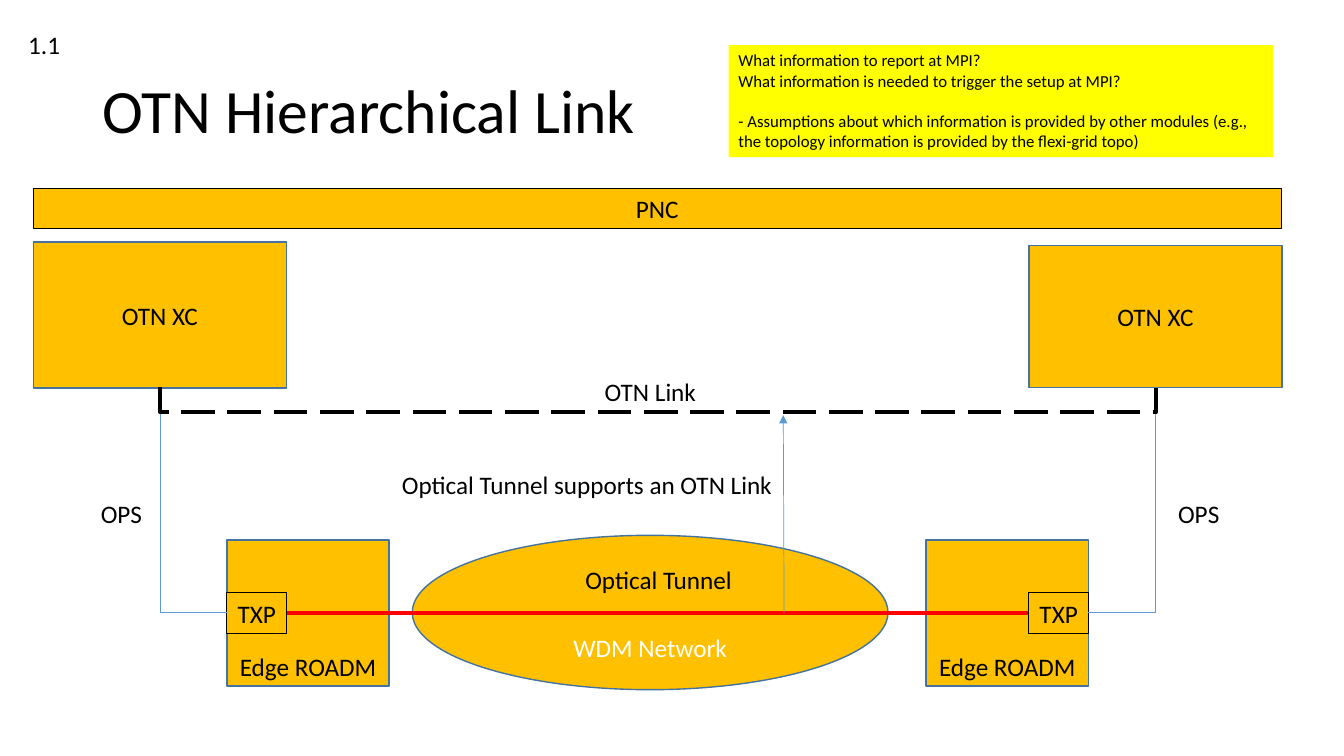
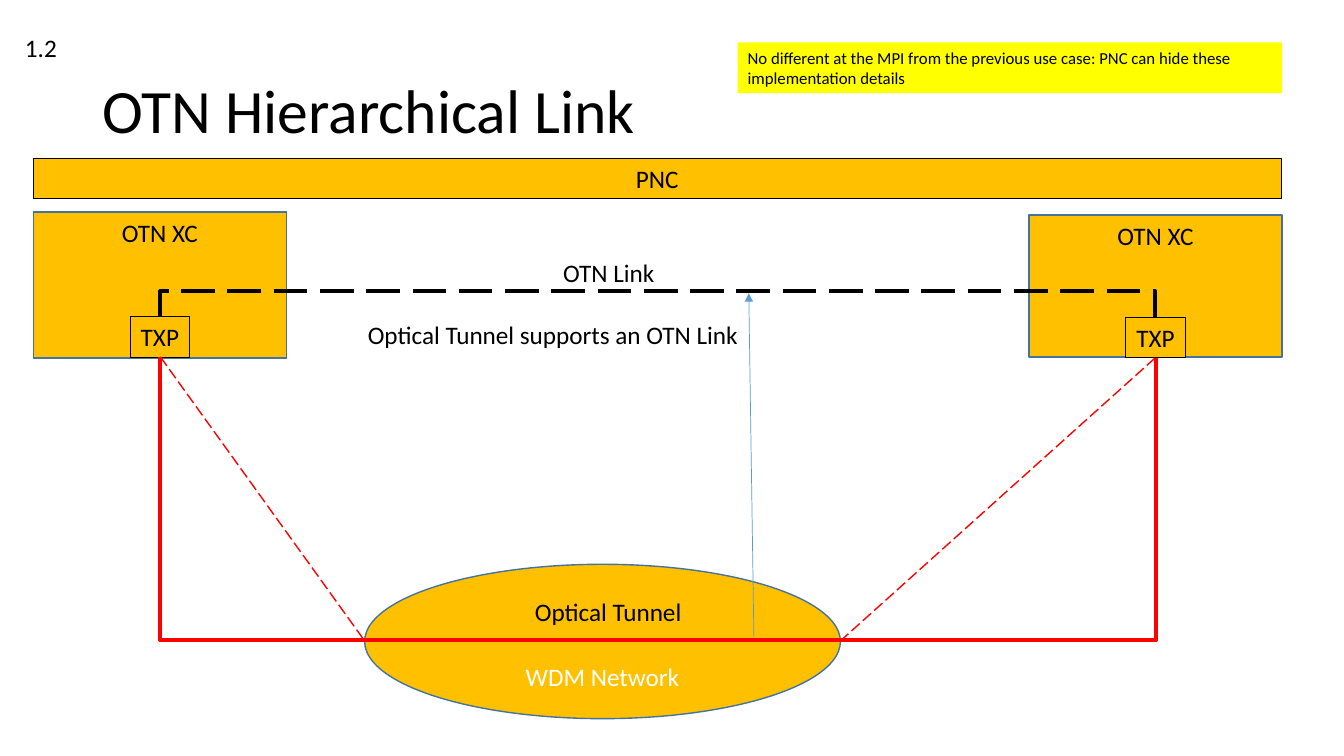
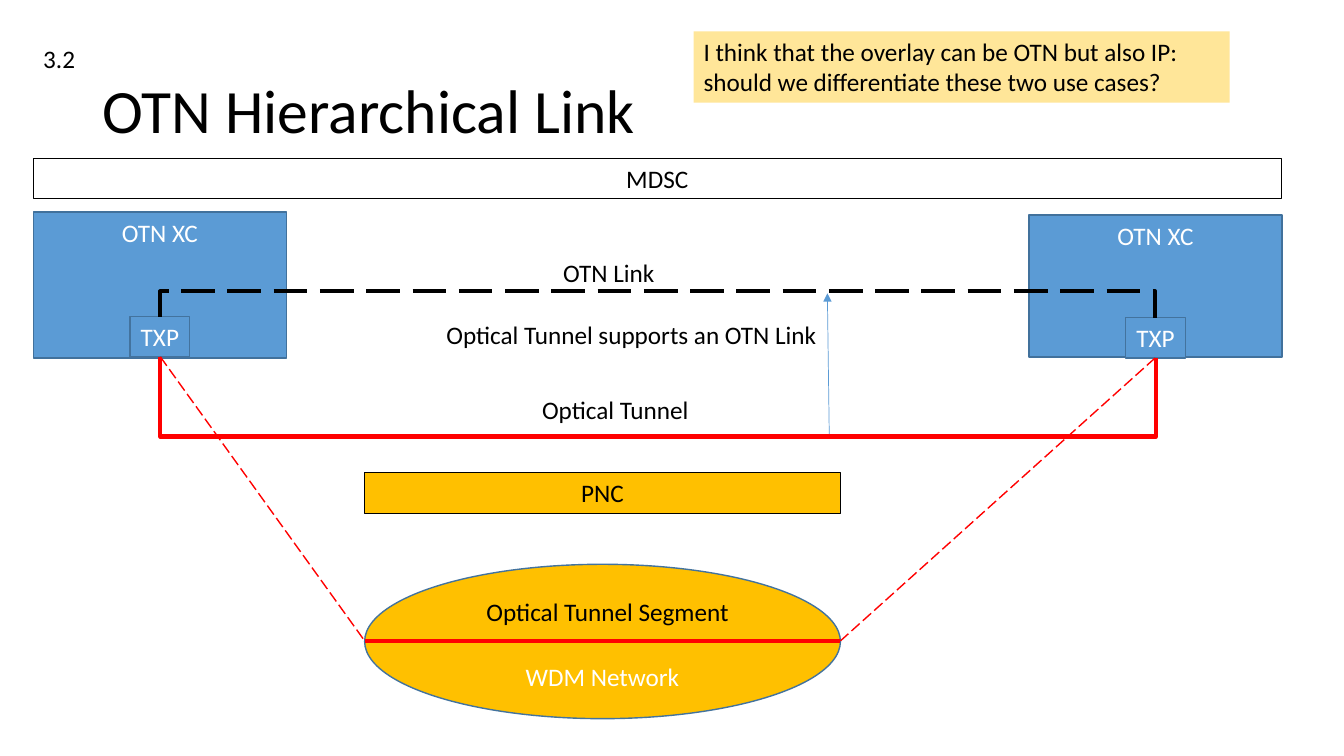
"""Build three slides on OTN hierarchical links over a WDM network."""
from lxml import etree
from pptx import Presentation
from pptx import util as u
from pptx.dml import color
from pptx.enum import dml, shapes, text
from pptx.oxml import ns

rgb = color.RGBColor.from_string
FONT = "Calibri"
BLACK, WHITE, RED = "000000", "FFFFFF", "FF0000"
AMBER, YELLOW, SAND, BLUE = "FFC000", "FFFF00", "FFE699", "5B9BD5"
EDGE, XC_EDGE = "43739E", "41719C"
RECT, OVAL = shapes.MSO_SHAPE.RECTANGLE, shapes.MSO_SHAPE.OVAL
TOP, MIDDLE, BOTTOM = text.MSO_ANCHOR.TOP, text.MSO_ANCHOR.MIDDLE, text.MSO_ANCHOR.BOTTOM
LEFT, CENTER = text.PP_ALIGN.LEFT, text.PP_ALIGN.CENTER

ROW = 1.02
BAR_X, BAR_W = 0.84, 31.45
XC_W, XC_RIGHT = 6.38, 25.93
PORT_LEFT, PORT_RIGHT = 4.04, 29.11
TXP_W = 1.5
WDM_W, WDM_H = 11.99, 3.89


def box(s, x, y, w, h, label, fill=None, edge=None, weight=1, ink=BLACK,
        size=18, anchor=TOP, align=CENTER, wrap=False, shape=RECT):
    place = [u.Cm(v) for v in (x, y, w, h)]
    if edge:
        sp = s.shapes.add_shape(shape, *place)
        sp.shadow.inherit = False
        sp.line.color.rgb = rgb(edge)
        sp.line.width = u.Pt(weight)
    else:
        sp = s.shapes.add_textbox(*place)
    if fill:
        sp.fill.solid()
        sp.fill.fore_color.rgb = rgb(fill)
    else:
        sp.fill.background()
    tf = sp.text_frame
    tf.text = label
    tf.word_wrap = wrap
    tf.vertical_anchor = anchor
    for p in tf.paragraphs:
        p.alignment = align
        for r in p.runs:
            r.font.name = FONT
            r.font.size = u.Pt(size)
            r.font.color.rgb = rgb(ink)
    return sp


def line(s, start, end, ink, weight, dashed=False, arrow=False, bend=None):
    (x1, y1), (x2, y2) = start, end
    if bend is None:
        cn = s.shapes.add_connector(shapes.MSO_CONNECTOR.STRAIGHT,
                                    u.Cm(x1), u.Cm(y1), u.Cm(x2), u.Cm(y2))
    else:
        mid_x, mid_y = (x1 + x2) / 2, (y1 + y2) / 2
        half_w, half_h = (y2 - y1) / 2, abs(x2 - x1) / 2
        cn = s.shapes.add_connector(shapes.MSO_CONNECTOR.ELBOW,
                                    u.Cm(mid_x - half_w), u.Cm(mid_y - half_h),
                                    u.Cm(mid_x + half_w), u.Cm(mid_y + half_h))
        xfrm = cn._element.spPr.find(ns.qn("a:xfrm"))
        xfrm.set("rot", str((270 if x2 > x1 else 90) * 60000))
        if x2 > x1:
            xfrm.set("flipH", "1")
        geom = cn._element.spPr.find(ns.qn("a:prstGeom"))
        if bend == y2:
            geom.set("prst", "bentConnector2")
        else:
            ratio = round((bend - y1) / (y2 - y1) * 100000)
            etree.SubElement(geom.find(ns.qn("a:avLst")), ns.qn("a:gd"),
                             name="adj1", fmla=f"val {ratio}")
    cn.line.color.rgb = rgb(ink)
    cn.line.width = u.Pt(weight)
    if dashed:
        cn.line.dash_style = dml.MSO_LINE.LONG_DASH
    if arrow:
        etree.SubElement(cn.line._get_or_add_ln(), ns.qn("a:tailEnd"), type="triangle")
    etree.SubElement(cn._element.spPr, ns.qn("a:effectLst"))


prs = Presentation()
prs.slide_width, prs.slide_height = u.Cm(33.87), u.Cm(19.05)

questions = ("What information to report at MPI?\n"
             "What information is needed to trigger the setup at MPI?\n"
             "- Assumptions about which information is provided by other modules "
             "(e.g., the topology information is provided by the flexi-grid topo)")
same_case = ("No different at the MPI from the previous use case: "
             "PNC can hide these implementation details")
overlay = ("I think that the overlay can be OTN but also IP: "
           "should we differentiate these two use cases?")
frames = [
    ("1.1", (0.46, 0.61), questions, (18.36, 1.14, 13.72, 2.82), YELLOW, 12,
     "PNC", AMBER, 4.75, AMBER, EDGE, BLACK, MIDDLE),
    ("1.2", (0.38, 0.69), same_case, (18.59, 1.07, 13.72, 1.28), YELLOW, 12,
     "PNC", AMBER, 3.99, AMBER, EDGE, BLACK, TOP),
    ("3.2", (0.84, 0.97), overlay, (17.48, 0.79, 13.51, 1.8), SAND, 18,
     "MDSC", None, 3.99, BLUE, XC_EDGE, WHITE, TOP),
]
slides = []
for (number, number_at, note, note_at, note_fill, note_size,
     bar, bar_fill, bar_y, xc_fill, xc_edge, xc_ink, xc_anchor) in frames:
    s = prs.slides.add_slide(prs.slide_layouts[5])
    slides.append(s)
    title = s.shapes.title
    title.left, title.top, title.width, title.height = (
        u.Cm(v) for v in (2.33, 1.01, 29.21, 3.68))
    tf = title.text_frame
    tf.text = "OTN Hierarchical Link"
    tf.vertical_anchor = MIDDLE
    p = tf.paragraphs[0]
    p.alignment, p.line_spacing = LEFT, 0.9
    r = p.runs[0]
    r.font.name, r.font.size = FONT, u.Pt(44)
    r.font.color.rgb = rgb(BLACK)
    box(s, *number_at, 1.32, ROW, number, align=LEFT)
    sp = box(s, *note_at, note, note_fill, size=note_size, align=LEFT, wrap=True)
    if note == questions:
        sp.text_frame.paragraphs[-1].space_before = u.Pt(14.6)
    box(s, BAR_X, bar_y, BAR_W, ROW, bar, bar_fill, BLACK, 0.75)
    for x, y, h in ((BAR_X, bar_y + 1.35, 3.68), (XC_RIGHT, bar_y + 1.43, 3.58)):
        box(s, x, y, XC_W, h, "OTN XC", xc_fill, xc_edge, ink=xc_ink, anchor=xc_anchor)

s = slides[0]
tunnel_y = 15.44
for x in (5.72, 23.34):
    box(s, x, 13.61, 4.09, 3.68, "Edge ROADM", AMBER, EDGE, anchor=BOTTOM)
box(s, 10.39, 13.49, WDM_W, WDM_H, "WDM Network", AMBER, EDGE, ink=WHITE,
    anchor=BOTTOM, shape=OVAL)
box(s, 14.5, 14.1, 4.24, ROW, "Optical Tunnel", align=LEFT)
line(s, (7.21, tunnel_y), (XC_RIGHT, tunnel_y), RED, 3)
for txp_x, port_x, txp_edge, ops_x in ((5.72, PORT_LEFT, 5.72, 2.29),
                                       (XC_RIGHT, PORT_RIGHT, 27.43, 29.44)):
    box(s, txp_x, 14.94, TXP_W, ROW, "TXP", AMBER, BLACK, 0.75)
    line(s, (port_x, 9.75), (txp_edge, tunnel_y), BLUE, 0.5, bend=tunnel_y)
    box(s, ops_x, 12.42, 1.55, ROW, "OPS", align=LEFT)
box(s, 14.99, 9.35, 2.84, ROW, "OTN Link", align=LEFT)
line(s, (PORT_LEFT, 9.75), (29.13, 9.78), BLACK, 3, dashed=True, bend=10.39)
box(s, 9.88, 11.71, 9.96, ROW, "Optical Tunnel supports an OTN Link", align=LEFT)
line(s, (19.76, tunnel_y), (19.74, 10.46), BLUE, 0.5, arrow=True)

wdm_x, wdm_mid = 9.19, 16.15
variants = [
    (slides[1], AMBER, BLACK, 0.75, BLACK, "Optical Tunnel", 13.23, 4.24,
     16.13, 9.02, (19, wdm_mid), (18.87, 7.39)),
    (slides[2], BLUE, EDGE, 1, WHITE, "Optical Tunnel Segment", 12.01, 6.71,
     11, 11, (20.9, 11.02), (20.85, 7.39)),
]
for (s, txp_fill, txp_edge, txp_weight, txp_ink, wdm_label, label_x, label_w,
     tunnel_y, support_x, arrow_from, arrow_to) in variants:
    box(s, wdm_x, 14.22, WDM_W, WDM_H, "WDM Network", AMBER, EDGE, ink=WHITE,
        anchor=BOTTOM, shape=OVAL)
    box(s, label_x, 14.91, label_w, ROW, wdm_label, align=LEFT)
    for x, y in ((3.28, 7.98), (28.37, 8)):
        box(s, x, y, TXP_W, ROW, "TXP", txp_fill, txp_edge, txp_weight, txp_ink,
            anchor=MIDDLE)
    line(s, (PORT_LEFT, 8.99), (wdm_x, wdm_mid), RED, 1, dashed=True)
    line(s, (PORT_RIGHT, 9.02), (wdm_x + WDM_W, wdm_mid), RED, 1, dashed=True)
    box(s, 13.94, 6.35, 2.84, ROW, "OTN Link", align=LEFT)
    line(s, (PORT_LEFT, 7.98), (PORT_RIGHT, 8.01), BLACK, 3, dashed=True, bend=7.34)
    box(s, support_x, 7.92, 9.96, ROW, "Optical Tunnel supports an OTN Link", align=LEFT)
    line(s, arrow_from, arrow_to, BLUE, 0.5, arrow=True)
    line(s, (PORT_LEFT, 8.99), (29.13, 9.02), RED, 3, bend=tunnel_y)

s = slides[2]
line(s, (wdm_x, wdm_mid), (wdm_x + WDM_W, wdm_mid), RED, 3)
box(s, wdm_x, 11.91, WDM_W, ROW, "PNC", AMBER, BLACK, 0.75)
box(s, 13.41, 9.8, 4.24, ROW, "Optical Tunnel", align=LEFT)

prs.save("out.pptx")
